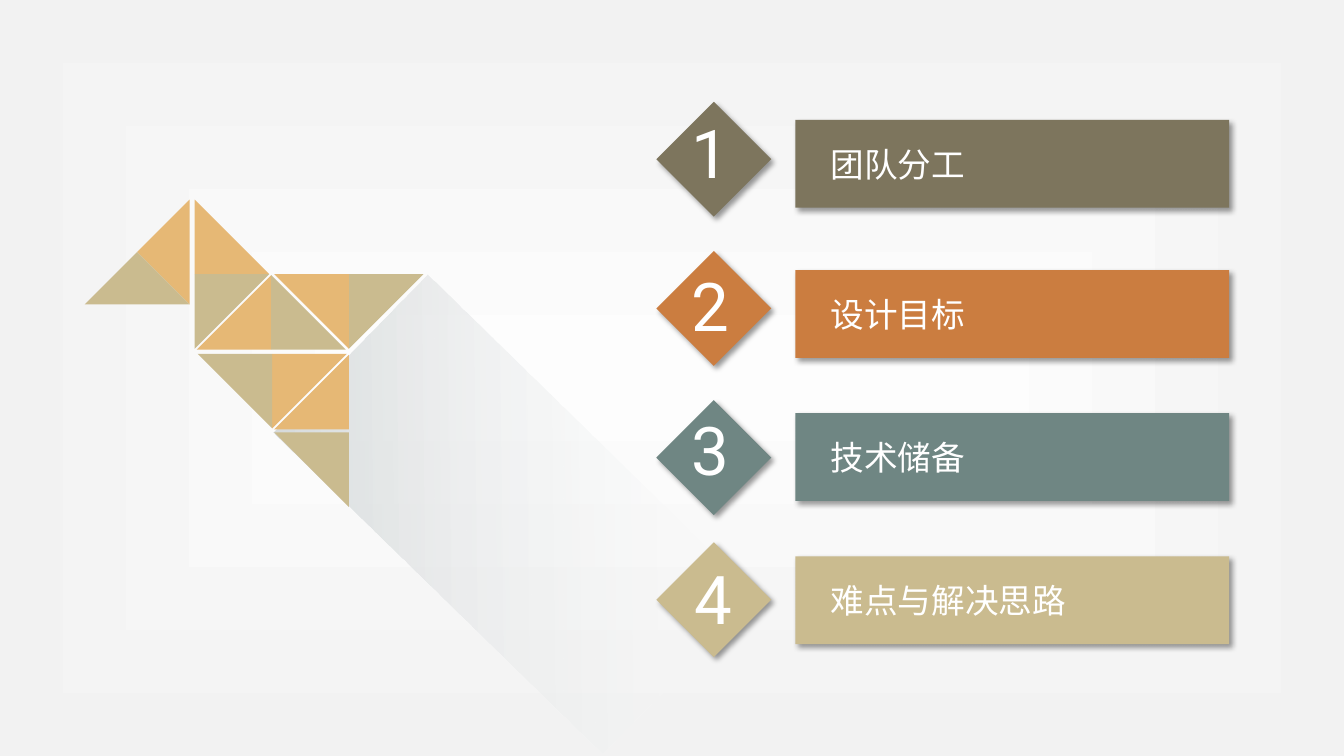
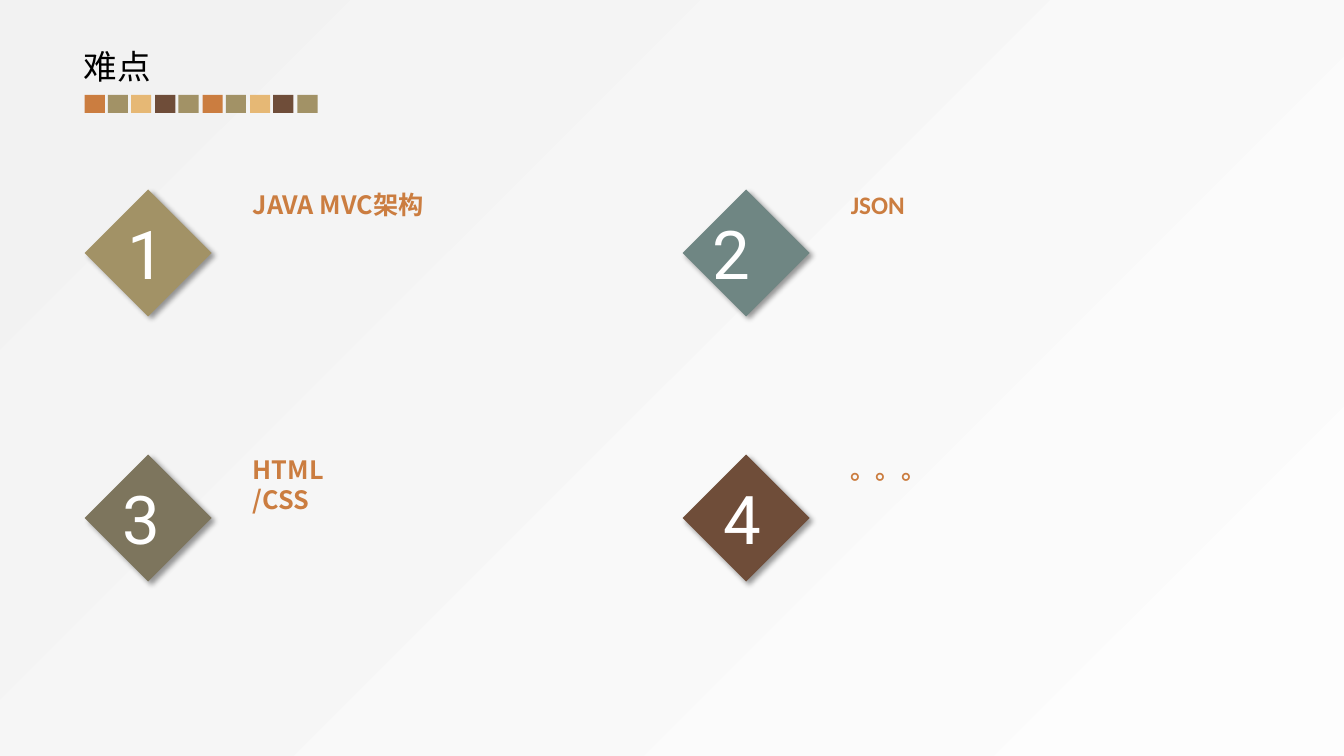
from dataclasses import dataclass

from lxml import etree
from pptx import Presentation
from pptx.dml.color import RGBColor
from pptx.enum.shapes import MSO_SHAPE
from pptx.enum.text import MSO_ANCHOR, MSO_AUTO_SIZE, PP_ALIGN
from pptx.oxml import parse_xml
from pptx.oxml.ns import nsdecls, qn
from pptx.util import Pt

RECT = MSO_SHAPE.RECTANGLE
DIAMOND = MSO_SHAPE.DIAMOND
TOP, MIDDLE = MSO_ANCHOR.TOP, MSO_ANCHOR.MIDDLE
LEFT = PP_ALIGN.LEFT
GROW = MSO_AUTO_SIZE.SHAPE_TO_FIT_TEXT
EMU_PER_PX = 9144
TITLE_ONLY, BLANK = 5, 6


@dataclass(frozen=True)
class Theme:
    olive: str = "7D755D"
    orange: str = "CB7D40"
    teal: str = "6F8683"
    khaki: str = "CABB8F"
    moss: str = "A29266"
    sand: str = "E6B875"
    brown: str = "6F4D39"
    white: str = "FFFFFF"
    black: str = "000000"
    paper: str = "FDFDFD"
    paper_edge: str = "F2F2F2"
    shade: str = "D7DBDC"
    cjk: str = "Noto Sans CJK SC"
    digit_font: str = "Roboto"
    latin: str = "Calibri"
    digit_size: int = 48
    title_size: int = 24
    label_size: int = 18


T = Theme()


def px(*values):
    return [v * EMU_PER_PX for v in values]


def paint(sp, color):
    sp.fill.solid()
    sp.fill.fore_color.rgb = RGBColor.from_string(color)
    sp.line.fill.background()
    sp.shadow.inherit = False


def set_gradient(solid, start, end, direction, start_alpha=100):
    solid.getparent().replace(solid, parse_xml(
        f'<a:gradFill {nsdecls("a")} rotWithShape="1"><a:gsLst>'
        f'<a:gs pos="0"><a:srgbClr val="{start}">'
        f'<a:alpha val="{start_alpha * 1000}"/></a:srgbClr></a:gs>'
        f'<a:gs pos="100000"><a:srgbClr val="{end}"/></a:gs>'
        f'</a:gsLst>{direction}</a:gradFill>'))


def set_background(s, path, l, t, r, b):
    s.background.fill.solid()
    focus = (f'<a:path path="{path}"><a:fillToRect l="{l}000" t="{t}000" '
             f'r="{r}000" b="{b}000"/></a:path>')
    solid = s.element.xpath(".//p:bgPr/a:solidFill")[0]
    set_gradient(solid, T.paper, T.paper_edge, focus)


def add_drop_shadow(sp):
    effects = sp.element.spPr.find(qn("a:effectLst"))
    effects.append(parse_xml(
        f'<a:outerShdw {nsdecls("a")} blurRad="{Pt(4)}" dist="{Pt(3)}" '
        f'dir="2700000" algn="tl" rotWithShape="0"><a:srgbClr val="{T.black}">'
        '<a:alpha val="40000"/></a:srgbClr></a:outerShdw>'))


def add_block(s, kind, box, color, shadow=False):
    sp = s.shapes.add_shape(kind, *px(*box))
    paint(sp, color)
    if shadow:
        add_drop_shadow(sp)
    return sp


def write(tf, text, size, color, font, bold=False):
    tf.text = text
    p = tf.paragraphs[0]
    p.alignment = LEFT
    p.font.size = Pt(size)
    p.font.bold = bold
    p.font.color.rgb = RGBColor.from_string(color)
    p.font.name = font
    props = p._p.xpath("a:pPr/a:defRPr")[0]
    etree.SubElement(props, qn("a:ea"), typeface=font)


def add_text(s, box, *style, **options):
    tf = s.shapes.add_textbox(*px(*box)).text_frame
    tf.word_wrap = False
    tf.auto_size = GROW
    write(tf, *style, **options)


def add_badge(s, x, y, size, color, digit, dx, dy):
    add_block(s, DIAMOND, (x, y, size, size), color, shadow=True)
    add_text(s, (x + dx, y + dy, 64, 91), digit,
             T.digit_size, T.white, T.digit_font)


def add_bar(s, y, color, text):
    sp = add_block(s, RECT, (789, y, 430, 87), color, shadow=True)
    tf = sp.text_frame
    tf.vertical_anchor = MIDDLE
    tf.margin_left = px(35)[0]
    write(tf, text, T.title_size, T.white, T.cjk)


def add_triangle(s, color, *points):
    builder = s.shapes.build_freeform(*points[0], scale=EMU_PER_PX)
    builder.add_line_segments(points[1:], close=True)
    paint(builder.convert_to_shape(), color)


def add_bird(s):
    sp = add_block(s, RECT, (283, 401, 456, 219), T.shade)
    sp.rotation = 44.3
    set_gradient(sp.element.spPr.find(qn("a:solidFill")), T.paper, T.shade,
                 '<a:lin ang="8100000" scaled="0"/>', start_alpha=6)
    add_triangle(s, T.sand, (188, 198), (136, 250), (188, 302))
    add_triangle(s, T.khaki, (188, 302), (136, 250), (84, 302))
    leg = 74
    corners = [
        (T.sand, 193, 272, 1, -1), (T.khaki, 193, 272, 1, 1),
        (T.sand, 269, 347, -1, -1), (T.khaki, 269, 347, 1, -1),
        (T.sand, 270, 351, 1, 1), (T.khaki, 270, 351, -1, 1),
        (T.khaki, 346, 272, 1, 1), (T.sand, 346, 272, -1, 1),
        (T.khaki, 346, 429, -1, 1), (T.sand, 346, 426, -1, -1),
    ]
    for color, x, y, across, down in corners:
        add_triangle(s, color, (x, y), (x + across * leg, y),
                     (x, y + down * leg))


def add_title(s, text):
    sp = s.shapes.title
    sp.left, sp.top, sp.width, sp.height = px(73, 41, 88, 50)
    tf = sp.text_frame
    tf.word_wrap = False
    tf.auto_size = GROW
    tf.vertical_anchor = TOP
    write(tf, text, T.title_size, T.black, T.cjk)
    colors = [T.orange, T.moss, T.sand, T.brown, T.moss] * 2
    for i, color in enumerate(colors):
        add_block(s, RECT, (84 + i * 211 // 9, 94, 20, 18), color)


def build_agenda(prs):
    s = prs.slides.add_slide(prs.slide_layouts[BLANK])
    set_background(s, "shape", 50, 50, 50, 50)
    add_bird(s)
    rows = [
        (101, 119, T.olive, "团队分工", 25, 5),
        (249, 268, T.orange, "设计目标", 25, 8),
        (397, 410, T.teal, "技术储备", 25, 3),
        (538, 552, T.khaki, "难点与解决思路", 28, 10),
    ]
    for n, (y, bar_y, color, text, dx, dy) in enumerate(rows, 1):
        add_badge(s, 651, y, 114, color, str(n), dx, dy)
        add_bar(s, bar_y, color, text)


def build_difficulties(prs):
    s = prs.slides.add_slide(prs.slide_layouts[TITLE_ONLY])
    set_background(s, "circle", 100, 100, 0, 0)
    add_title(s, "难点")
    items = [
        (T.moss, 33, "JAVA MVC架构", 206, T.cjk),
        (T.teal, 20, "JSON", 74, T.latin),
        (T.olive, 28, "HTML\v/CSS", 146, T.cjk),
        (T.brown, 31, "。。。", 96, T.cjk),
    ]
    for i, (color, dx, text, width, font) in enumerate(items):
        row, col = divmod(i, 2)
        x, y = 84 + col * 593, 188 + row * 263
        add_badge(s, x, y, 126, color, str(i + 1), dx, 18)
        add_text(s, (x + 157, y - 5, width, 40), text,
                 T.label_size, T.orange, font, bold=True)


def main():
    prs = Presentation()
    prs.slide_width, prs.slide_height = px(1333, 750)
    build_agenda(prs)
    build_difficulties(prs)
    prs.save("out.pptx")


if __name__ == "__main__":
    main()
